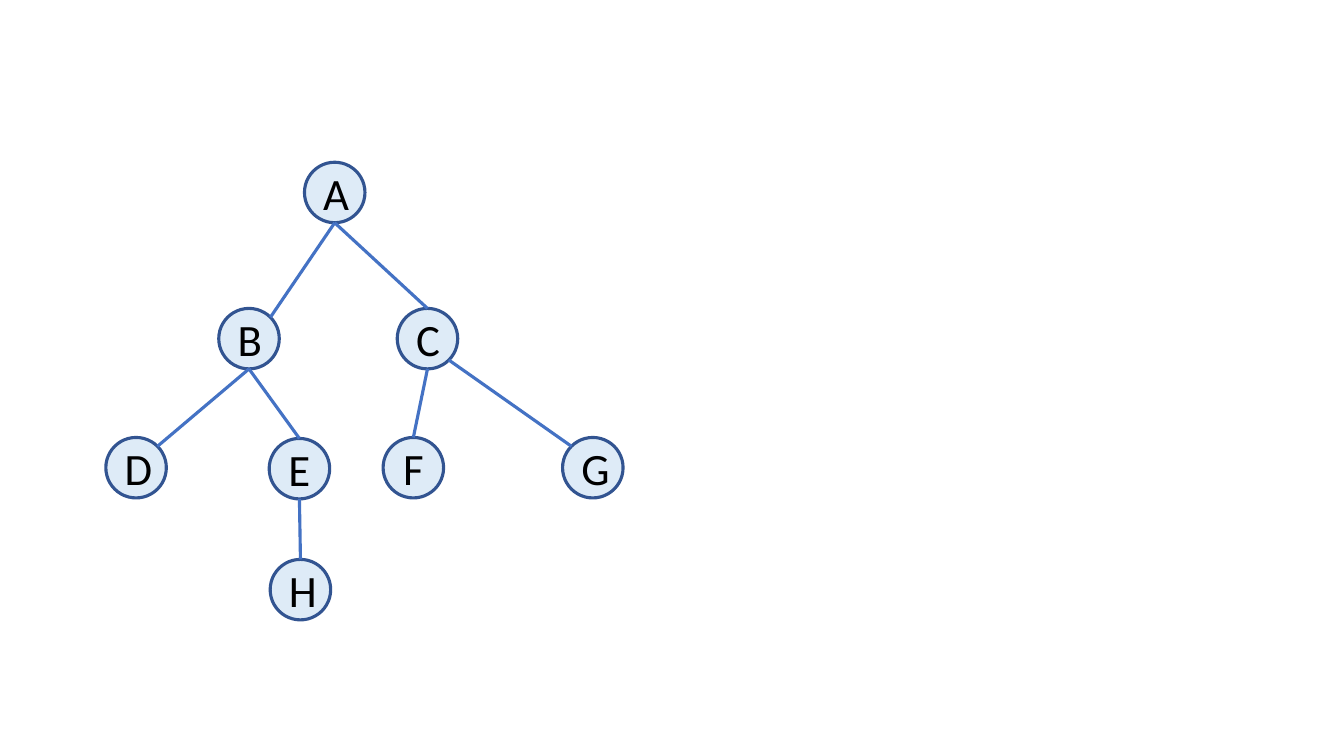
from math import sqrt

from lxml import etree
from pptx import Presentation
from pptx.dml.color import RGBColor
from pptx.enum.shapes import MSO_CONNECTOR, MSO_SHAPE
from pptx.enum.text import MSO_ANCHOR, PP_ALIGN
from pptx.oxml.ns import qn
from pptx.util import Inches, Pt

OVAL = MSO_SHAPE.OVAL
STRAIGHT = MSO_CONNECTOR.STRAIGHT
MIDDLE = MSO_ANCHOR.MIDDLE
CENTER = PP_ALIGN.CENTER

NODE_FILL = RGBColor(0xDE, 0xEB, 0xF7)
NODE_BORDER = RGBColor(0x32, 0x54, 0x91)
EDGE_COLOR = RGBColor(0x44, 0x72, 0xC4)
BLACK = RGBColor(0, 0, 0)

LINE_WIDTH = Pt(2.25)
RADIUS = 0.3
DIAGONAL = RADIUS / sqrt(2)

# Centre of each tree node, in inches
NODES = {
    "A": (3.32, 1.91),
    "B": (2.47, 3.36),
    "D": (1.35, 4.64),
    "E": (2.97, 4.65),
    "C": (4.24, 3.36),
    "F": (4.1, 4.64),
    "G": (5.88, 4.64),
    "H": (2.98, 5.85),
}

# Offsets from a node's centre to the points where edges attach
TOP = (0, -RADIUS)
BOTTOM = (0, RADIUS)
TOP_LEFT = (-DIAGONAL, -DIAGONAL)
TOP_RIGHT = (DIAGONAL, -DIAGONAL)
BOTTOM_RIGHT = (DIAGONAL, DIAGONAL)

EDGES = [
    ("A", BOTTOM, "B", TOP_RIGHT),
    ("A", BOTTOM, "C", TOP),
    ("B", BOTTOM, "D", TOP_RIGHT),
    ("B", BOTTOM, "E", TOP),
    ("C", BOTTOM, "F", TOP),
    ("C", BOTTOM_RIGHT, "G", TOP_LEFT),
    ("E", BOTTOM, "H", TOP),
]


def attach_point(label, offset):
    x, y = NODES[label]
    return Inches(x + offset[0]), Inches(y + offset[1])


prs = Presentation()
prs.slide_width = Inches(13.33)
prs.slide_height = Inches(7.5)
slide = prs.slides.add_slide(prs.slide_layouts[6])

for label in NODES:
    left, top = attach_point(label, (-RADIUS, -RADIUS))
    node = slide.shapes.add_shape(OVAL, left, top, Inches(2 * RADIUS), Inches(2 * RADIUS))
    node.shadow.inherit = False
    node.fill.solid()
    node.fill.fore_color.rgb = NODE_FILL
    node.line.color.rgb = NODE_BORDER
    node.line.width = LINE_WIDTH
    node.text_frame.vertical_anchor = MIDDLE
    paragraph = node.text_frame.paragraphs[0]
    paragraph.text = label
    paragraph.alignment = CENTER
    paragraph.font.name = "Calibri"
    paragraph.font.size = Pt(32)
    paragraph.font.color.rgb = BLACK

for parent, parent_side, child, child_side in EDGES:
    start = attach_point(parent, parent_side)
    end = attach_point(child, child_side)
    edge = slide.shapes.add_connector(STRAIGHT, *start, *end)
    edge.line.color.rgb = EDGE_COLOR
    edge.line.width = LINE_WIDTH
    etree.SubElement(edge._element.spPr, qn("a:effectLst"))

prs.save("out.pptx")
